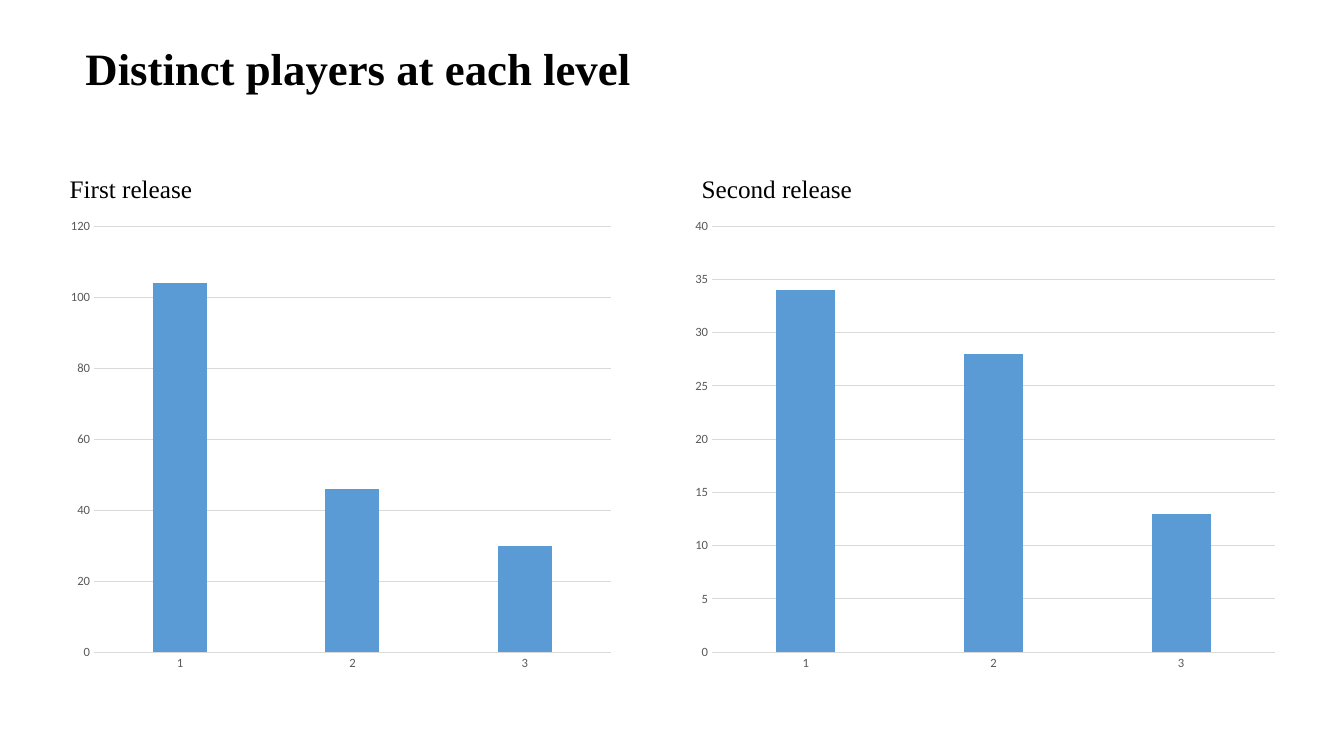
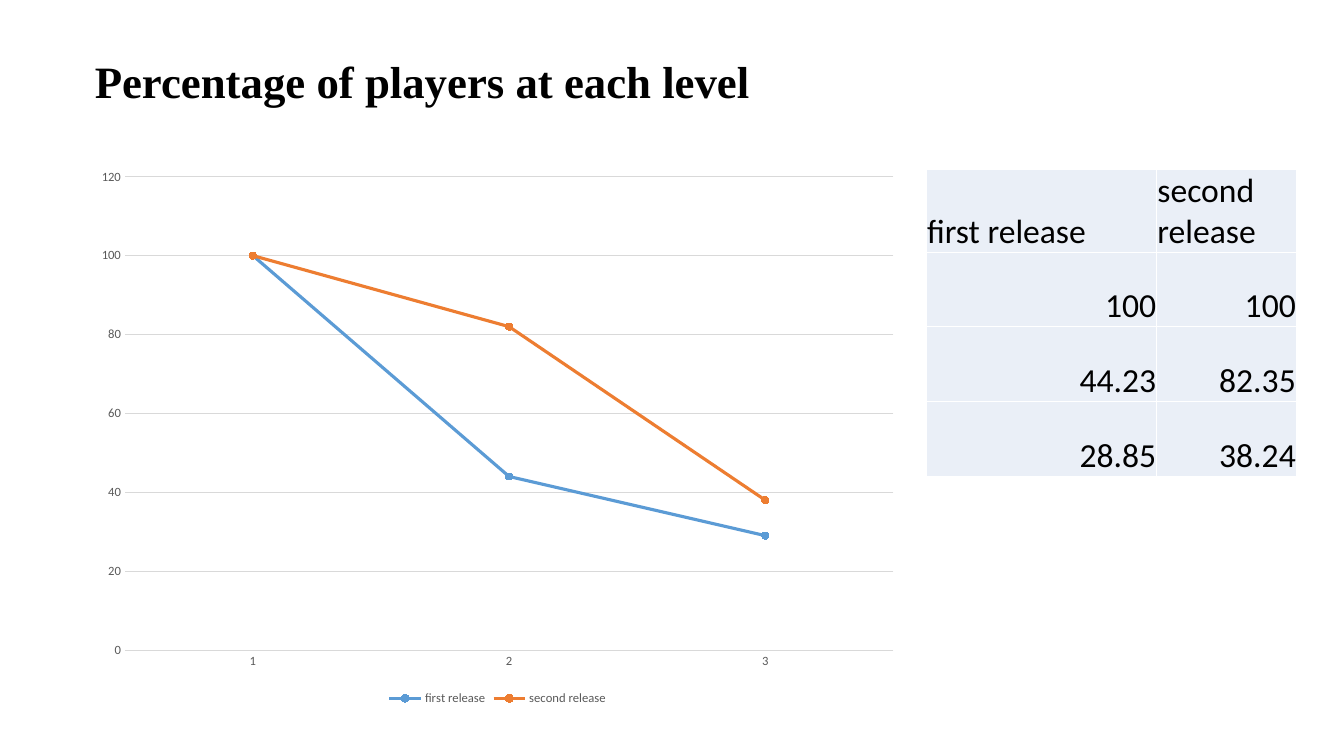
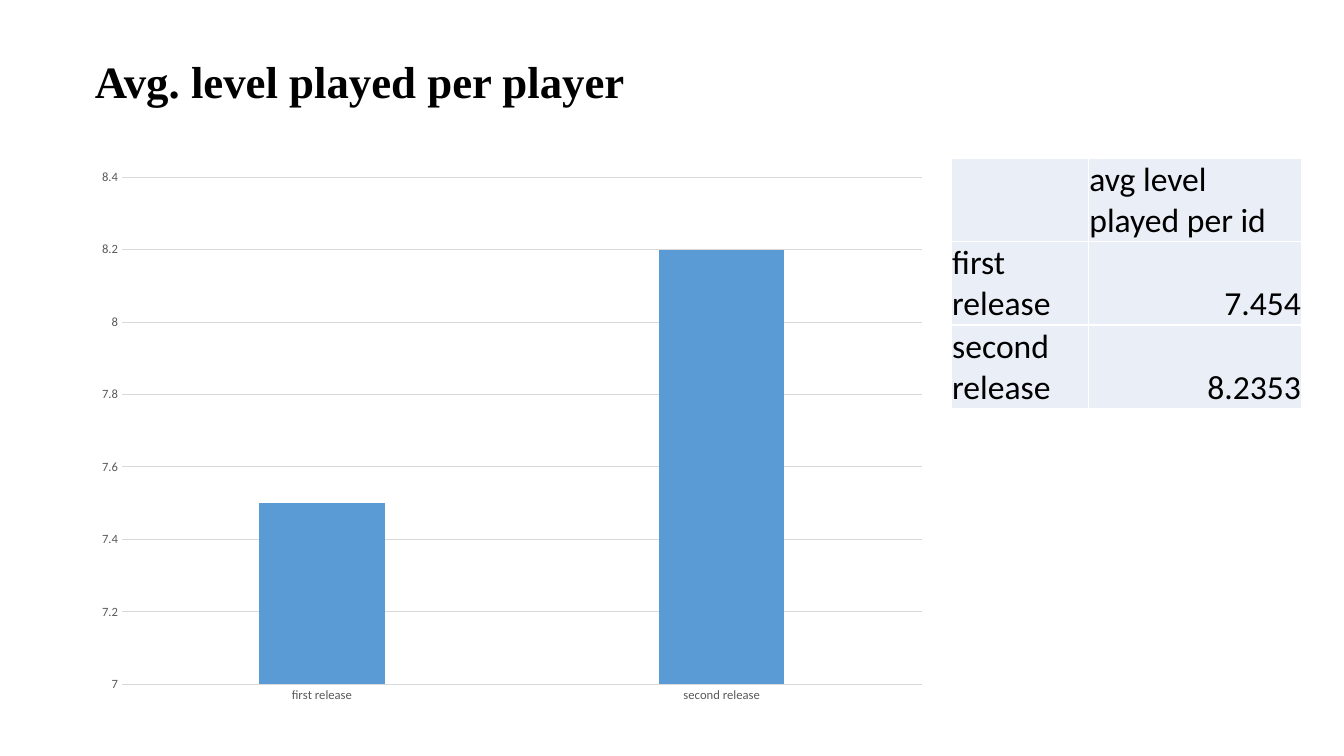
"""Build three slides that compare how players move through two releases."""
from dataclasses import dataclass

from lxml.etree import SubElement as Sub
from pptx import Presentation
from pptx.chart.data import CategoryChartData as Data
from pptx.dml.color import RGBColor as RGB
from pptx.enum.chart import XL_CHART_TYPE as Kind
from pptx.enum.chart import XL_LEGEND_POSITION as Place
from pptx.enum.chart import XL_MARKER_STYLE as Mark
from pptx.enum.chart import XL_TICK_MARK as Tick
from pptx.enum.text import MSO_ANCHOR as Anchor
from pptx.enum.text import MSO_AUTO_SIZE as Fit
from pptx.enum.text import PP_ALIGN as Align
from pptx.oxml.ns import qn
from pptx.util import Pt


@dataclass(frozen=True)
class Theme:
    """Hold the colours, fonts and type sizes of the deck."""
    ink: RGB = RGB.from_string("000000")
    grey: RGB = RGB.from_string("595959")
    rule: RGB = RGB.from_string("D9D9D9")
    tint: RGB = RGB.from_string("EAEFF7")
    edge: str = "FFFFFF"
    hues: tuple = (RGB.from_string("5B9BD5"), RGB.from_string("ED7D31"))
    serif: str = "Times New Roman"
    sans: str = "Calibri"
    title: int = 32
    head: int = 18
    cell: int = 24
    chart: int = 10
    tick: int = 9


LOOK = Theme()
NAMES = ("first release", "second release")
LEVELS = ("1", "2", "3")
SHARES = ((100, 44.23, 28.85), (100, 82.35, 38.24))
MEANS = (7.454, 8.2353)


def style(font, size, face=LOOK.sans, color=LOOK.ink, bold=False):
    """Set the look of a font."""
    font.size, font.name, font.bold = Pt(size), face, bold
    font.color.rgb = color


def write(frame, text, align=Align.LEFT, **form):
    """Put one formatted line of text into a frame."""
    frame.word_wrap = True
    para = frame.paragraphs[0]
    para.alignment = align
    run = para.add_run()
    run.text = text
    style(run.font, **form)


def add_page(deck, text, left=60.5, top=34.7):
    """Add a slide with its title."""
    page = deck.slides.add_slide(deck.slide_layouts[5])
    title = page.shapes.title
    title.left, title.top = Pt(left), Pt(top)
    title.width, title.height = Pt(580), Pt(46)
    frame = title.text_frame
    frame.auto_size = Fit.NONE
    frame.vertical_anchor = Anchor.TOP
    write(frame, text, size=LOOK.title, face=LOOK.serif, bold=True)
    return page


def add_head(page, text, left):
    """Add a heading above a chart."""
    box = page.shapes.add_textbox(Pt(left), Pt(120.2), Pt(336), Pt(29))
    write(box.text_frame, text, size=LOOK.head, face=LOOK.serif)


def format_axes(chart, low, high, step):
    """Set the scale, labels and rules of both axes."""
    for axis in (chart.category_axis, chart.value_axis):
        axis.major_tick_mark = axis.minor_tick_mark = Tick.NONE
        style(axis.tick_labels.font, LOOK.tick, color=LOOK.grey)
    line = chart.category_axis.format.line
    scale = chart.value_axis
    scale.format.line.fill.background()
    scale.has_major_gridlines = True
    for rule in (line, scale.major_gridlines.format.line):
        rule.width = Pt(0.75)
        rule.color.rgb = LOOK.rule
    scale.minimum_scale, scale.maximum_scale = low, high
    scale.major_unit = step


def add_chart(page, kind, area, cats, rows, scale):
    """Add a chart with the shared format."""
    data = Data()
    data.categories = cats
    for name, vals in rows:
        data.add_series(name, vals)
    chart = page.shapes.add_chart(kind, *map(Pt, area), data).chart
    chart.has_title = chart.has_legend = False
    chart.plots[0].vary_by_categories = False
    style(chart.font, LOOK.chart)
    format_axes(chart, *scale)
    return chart


def add_bars(page, area, cats, vals, scale):
    """Add a column chart of one series."""
    chart = add_chart(page, Kind.COLUMN_CLUSTERED, area, cats,
                      [("Series 1", vals)], scale)
    plot = chart.plots[0]
    plot.gap_width, plot.overlap = 219, -27
    fill = plot.series[0].format.fill
    fill.solid()
    fill.fore_color.rgb = LOOK.hues[0]


def add_lines(page, area, cats, rows, scale):
    """Add a line chart with markers and a legend."""
    chart = add_chart(page, Kind.LINE_MARKERS, area, cats, rows, scale)
    for line, hue in zip(chart.plots[0].series, LOOK.hues):
        line.smooth = False
        line.format.line.width = Pt(2.25)
        line.format.line.color.rgb = hue
        mark = line.marker
        mark.style, mark.size = Mark.CIRCLE, 5
        mark.format.fill.solid()
        mark.format.fill.fore_color.rgb = hue
        mark.format.line.color.rgb = hue
    chart.has_legend = True
    chart.legend.position = Place.BOTTOM
    chart.legend.include_in_layout = False
    style(chart.legend.font, LOOK.tick, color=LOOK.grey)


def format_cell(cell):
    """Set the margins, borders and fill of a cell."""
    cell.margin_left = cell.margin_right = cell.margin_top = Pt(0.5)
    cell.margin_bottom = 0
    cell.vertical_anchor = Anchor.BOTTOM
    props = cell._tc.get_or_add_tcPr()
    for side in ("lnL", "lnR", "lnT", "lnB"):
        line = Sub(props, qn("a:" + side), w=str(Pt(1)))
        Sub(Sub(line, qn("a:solidFill")), qn("a:srgbClr"), val=LOOK.edge)
    cell.fill.solid()
    cell.fill.fore_color.rgb = LOOK.tint


def add_table(page, left, top, widths, height, rows):
    """Add a table with numbers set to the right."""
    size = sum(widths), height * len(rows)
    table = page.shapes.add_table(len(rows), len(widths), Pt(left), Pt(top),
                                  *map(Pt, size)).table
    table.first_row = table.horz_banding = False
    for col, width in zip(table.columns, widths):
        col.width = Pt(width)
    for band, row in zip(table.rows, rows):
        band.height = Pt(height)
        for cell, item in zip(band.cells, row):
            format_cell(cell)
            if item != "":
                side = Align.LEFT if isinstance(item, str) else Align.RIGHT
                write(cell.text_frame, str(item), align=side, size=LOOK.cell)


def add_counts(deck):
    """Add the slide of player counts."""
    page = add_page(deck, "Distinct players at each level", 53.8, 25.4)
    add_bars(page, (42.6, 149.8, 401.8, 336.2), LEVELS, (104, 46, 30),
             (0, 120, 20))
    add_bars(page, (488, 149.7, 431.3, 336.2), LEVELS, (34, 28, 13),
             (0, 40, 5))
    add_head(page, "First release", 42.7)
    add_head(page, "Second release", 494.1)


def add_shares(deck):
    """Add the slide of player shares."""
    page = add_page(deck, "Percentage of players at each level")
    rows = [(name, [round(val) for val in vals])
            for name, vals in zip(NAMES, SHARES)]
    add_lines(page, (60.9, 113.2, 589, 393.8), LEVELS, rows, (0, 120, 20))
    add_table(page, 661.7, 121, (164.6, 99.8), 53.4, [NAMES, *zip(*SHARES)])


def add_means(deck):
    """Add the slide of average levels."""
    page = add_page(deck, "Avg. level played per player")
    means = [round(val, 1) for val in MEANS]
    add_bars(page, (60.7, 113.4, 609.8, 396.7), NAMES, means, (7, 8.4, 0.2))
    add_table(page, 679.7, 113, (98, 152), 59.6,
              [("", "avg level played per id"), *zip(NAMES, MEANS)])


def main():
    """Build and save the deck."""
    deck = Presentation()
    deck.slide_width, deck.slide_height = Pt(960), Pt(540)
    add_counts(deck)
    add_shares(deck)
    add_means(deck)
    deck.save("out.pptx")


if __name__ == "__main__":
    main()
